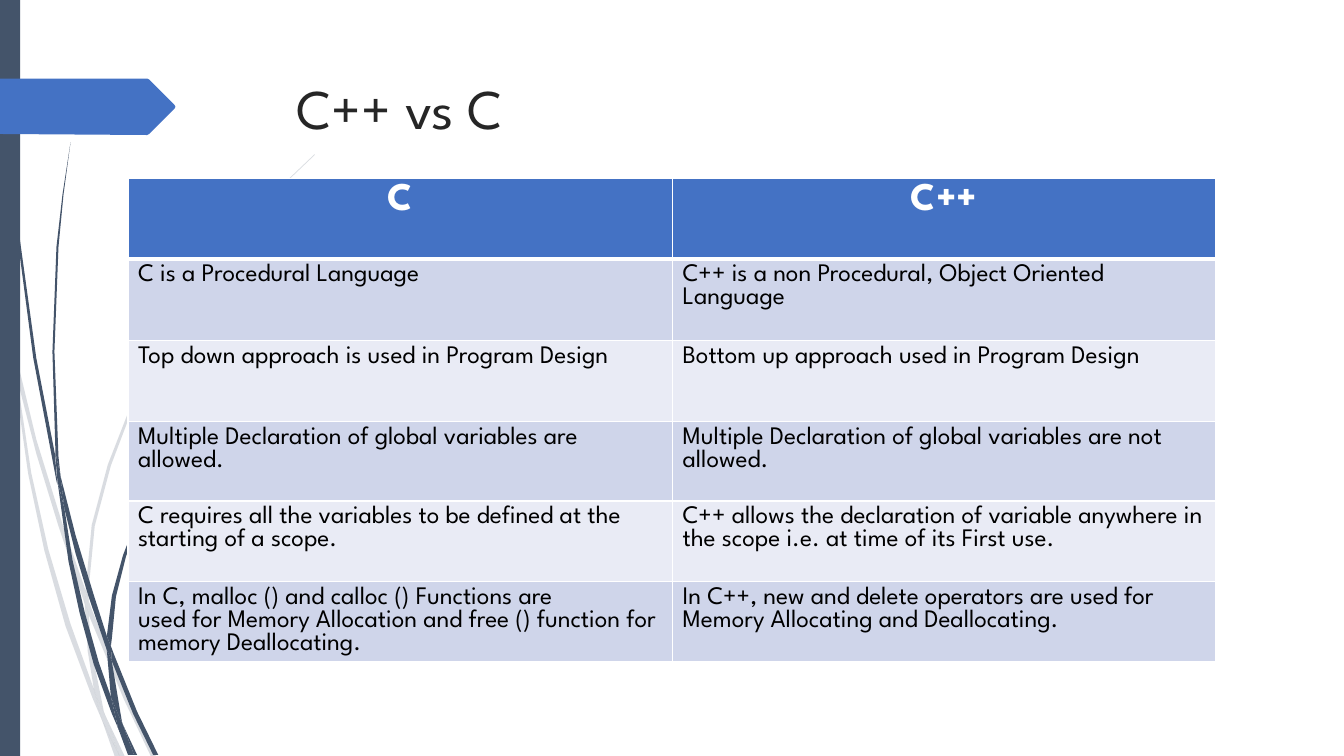
from pptx import Presentation
from pptx.dml.color import RGBColor
from pptx.enum.shapes import MSO_SHAPE as SHAPE
from pptx.enum.text import MSO_ANCHOR as ANCHOR, PP_ALIGN as ALIGN
from pptx.oxml import parse_xml
from pptx.oxml.ns import nsdecls
from pptx.util import Inches, Pt

FONT = "League Spartan"
SLATE = RGBColor(0x44, 0x54, 0x6A)
BLUE = RGBColor(0x44, 0x72, 0xC4)
BAND_DARK = RGBColor(0xCF, 0xD5, 0xEA)
BAND_LIGHT = RGBColor(0xE9, 0xEB, 0xF5)
WHITE = RGBColor(0xFF, 0xFF, 0xFF)
BLACK = RGBColor(0, 0, 0)
TITLE_GREY = RGBColor(0x26, 0x26, 0x26)

# Outlines of the grass blades, in inches
PALE_BLADES = [
    [(.11, 3.5), (.09, 3.22), (0, 2.82), (0, 2.99), (.1, 3.44)],
    [(.58, 5.22), (.84, 5.99), (.85, 5.86), (.62, 5.2), (.36, 4.36),
     (.14, 3.45), (.17, 3.76), (.36, 4.5)],
    [(.92, 6.07), (.88, 5.96), (.88, 6.1), (1.23, 6.94), (1.5, 7.51),
     (1.55, 7.51), (1.27, 6.92)],
    [(1.19, 7.51), (1.24, 7.51), (1.05, 7.11)],
    [(.93, 6.83), (.7, 6.19), (.48, 5.45), (.31, 4.69), (.17, 3.76),
     (.11, 3.5), (.28, 4.7), (.44, 5.46), (.65, 6.21), (.92, 6.93),
     (1.01, 7.14), (.99, 7.07)],
    [(.84, 5.99), (.87, 6.46), (.93, 6.83), (.96, 6.92), (1.05, 7.11),
     (1.03, 7.06), (.91, 6.46), (.88, 6.1), (.88, 6.08)],
    [(.88, 5.84), (.94, 5.22), (1.1, 4.62), (1.32, 4.04), (1.6, 3.49),
     (1.93, 2.95), (2.29, 2.45), (2.68, 1.98), (2.9, 1.75), (3.12, 1.54),
     (3.12, 1.53), (2.89, 1.75), (2.68, 1.97), (2.28, 2.44), (1.9, 2.95),
     (1.58, 3.48), (1.3, 4.02), (1.07, 4.61), (.91, 5.21), (.85, 5.84),
     (.85, 5.86), (.88, 5.96)],
    [(1.01, 7.14), (1.14, 7.51), (1.19, 7.51)],
    [(.88, 6.08), (.88, 6.1), (.88, 5.96), (.85, 5.86), (.84, 5.99)],
    [(.96, 6.92), (.93, 6.83), (.99, 7.07), (1.01, 7.14), (1.19, 7.51),
     (1.05, 7.11)],
]
DARK_BLADES = [
    [(.07, 1.1), (.17, 2.33), (.33, 3.55), (.56, 4.77), (.57, 4.81),
     (.55, 4.57), (.55, 4.53), (.36, 3.55), (.19, 2.32), (.08, 1.09),
     (.05, .48), (.04, 0), (.03, 0), (.04, .48)],
    [(.88, 5.92), (1.06, 6.45), (1.06, 6.33), (1.06, 6.31), (.93, 5.9),
     (.75, 5.31), (.6, 4.72), (.64, 5.05), (.75, 5.49)],
    [(1.13, 6.49), (1.1, 6.41), (1.11, 6.56), (1.32, 7.08), (1.52, 7.49),
     (1.57, 7.49), (1.36, 7.06)],
    [(1.1, 6.91), (.98, 6.57), (.84, 6.07), (.72, 5.56), (.64, 5.05),
     (.57, 4.77), (.68, 5.57), (.79, 6.08), (.93, 6.59), (1.11, 7.08),
     (1.17, 7.22), (1.16, 7.17)],
    [(.6, 4.72), (.58, 4.53), (.54, 3.49), (.58, 2.45), (.63, 1.93),
     (.7, 1.41), (.62, 1.93), (.56, 2.45), (.52, 3.49), (.55, 4.49)],
    [(1.33, 7.49), (1.36, 7.49), (1.22, 7.19)],
    [(.57, 4.77), (.64, 5.05), (.6, 4.72), (.55, 4.49), (.55, 4.53)],
    [(1.11, 6.33), (1.15, 5.92), (1.25, 5.52), (1.4, 5.13), (1.58, 4.76),
     (1.8, 4.4), (2.05, 4.06), (2.31, 3.74), (2.45, 3.59), (2.61, 3.44),
     (2.6, 3.44), (2.45, 3.58), (2.31, 3.73), (2.04, 4.05), (1.78, 4.39),
     (1.56, 4.74), (1.37, 5.12), (1.22, 5.51), (1.11, 5.91), (1.06, 6.31),
     (1.1, 6.41)],
    [(1.17, 7.22), (1.27, 7.49), (1.31, 7.49)],
    [(1.06, 6.45), (1.1, 6.91), (1.16, 7.06), (1.22, 7.19), (1.21, 7.16),
     (1.11, 6.56), (1.09, 6.51)],
    [(1.06, 6.45), (1.09, 6.51), (1.11, 6.56), (1.1, 6.41), (1.06, 6.31),
     (1.06, 6.33)],
    [(1.16, 7.06), (1.1, 6.91), (1.16, 7.17), (1.17, 7.22), (1.3, 7.49),
     (1.33, 7.49), (1.22, 7.19)],
]
ARROW = [(0, .78), (1.46, .78), (1.48, .79), (1.73, 1.04), (1.74, 1.06),
         (1.73, 1.08), (1.48, 1.33), (1.46, 1.34), (0, 1.33)]

ROWS = [
    ("C", "C++"),
    ("C is a Procedural Language",
     "C++ is a non Procedural, Object Oriented Language"),
    ("Top down approach is used in Program Design",
     "Bottom up approach used in Program Design"),
    ("Multiple Declaration of global variables are allowed.",
     "Multiple Declaration of global variables are not allowed."),
    ("C requires all the variables to be defined at the starting of a scope.",
     "C++ allows the declaration of variable anywhere in the scope i.e. "
     "at time of its First use."),
    ("In C, malloc () and calloc () Functions are\n"
     "used for Memory Allocation and free () function for memory Deallocating.",
     "In C++, new and delete operators are used for Memory Allocating "
     "and Deallocating."),
]


def paint(sp, color, opacity=100):
    sp.shadow.inherit = False
    sp.fill.solid()
    sp.fill.fore_color.rgb = color
    sp.line.fill.background()
    if opacity < 100:
        clr = sp._element.spPr.find(".//{*}srgbClr")
        clr.append(parse_xml(
            f'<a:alpha {nsdecls("a")} val="{opacity * 1000}"/>'))


def add_outline(s, left, top, points, color, opacity=100):
    pts = [(Inches(left + x), Inches(top + y)) for x, y in points]
    fb = s.shapes.build_freeform(*pts[0], scale=1.0)
    fb.add_line_segments(pts[1:], close=True)
    paint(fb.convert_to_shape(), color, opacity)


def add_side_art(s, left, top, height):
    for blades, opacity in ((PALE_BLADES, 20), (DARK_BLADES, 100)):
        for points in blades:
            add_outline(s, left, top, points, SLATE, opacity)
    bar = s.shapes.add_shape(SHAPE.RECTANGLE, Inches(left), Inches(top),
                             Inches(.2), Inches(height))
    paint(bar, SLATE)
    add_outline(s, left, top, ARROW, BLUE)


def add_title(s, left, top, width, height):
    sp = s.shapes.title
    s.shapes._spTree.append(sp._element)  # in front of the side art
    sp.left, sp.top = Inches(left), Inches(top)
    sp.width, sp.height = Inches(width), Inches(height)
    tf = sp.text_frame
    tf.text = "C++ vs C"
    tf.vertical_anchor = ANCHOR.TOP
    p = tf.paragraphs[0]
    p.alignment = ALIGN.LEFT
    p.font.name, p.font.size = FONT, Pt(40)
    p.font.color.rgb = TITLE_GREY


def set_borders(cell, header, below_header):
    widths = {"L": 1, "R": 1, "T": 3 if below_header else 1,
              "B": 3 if header else 1}
    for side, width in widths.items():
        cell._tc.get_or_add_tcPr().append(parse_xml(
            f'<a:ln{side} {nsdecls("a")} w="{Pt(width)}"><a:solidFill>'
            f'<a:srgbClr val="{WHITE}"/></a:solidFill></a:ln{side}>'))


def add_comparison(s, left, top, col_widths, row_heights):
    table = s.shapes.add_table(
        len(ROWS), len(col_widths), Inches(left), Inches(top),
        Inches(sum(col_widths)), Inches(sum(row_heights))).table
    for col, width in zip(table.columns, col_widths):
        col.width = Inches(width)
    for row, height in zip(table.rows, row_heights):
        row.height = Inches(height)
    for i, texts in enumerate(ROWS):
        header = i == 0
        fill = BLUE if header else BAND_DARK if i % 2 else BAND_LIGHT
        for j, text in enumerate(texts):
            cell = table.cell(i, j)
            set_borders(cell, header, i == 1)
            cell.fill.solid()
            cell.fill.fore_color.rgb = fill
            cell.text = text
            for p in cell.text_frame.paragraphs:
                p.alignment = ALIGN.CENTER if header else ALIGN.LEFT
                p.font.name = FONT
                p.font.size = Pt(28 if header else 18)
                p.font.bold = header
                p.font.color.rgb = WHITE if header else BLACK


prs = Presentation()
prs.slide_width, prs.slide_height = Inches(13.33), Inches(7.5)
s = prs.slides.add_slide(prs.slide_layouts[5])
add_side_art(s, 0, 0, 7.5)
add_title(s, 2.84, .68, 9.75, 1.4)
add_comparison(s, 1.27, 1.77, [5.4, 5.39], [.8, .81, .8, .79, .8, .79])
prs.save("out.pptx")
